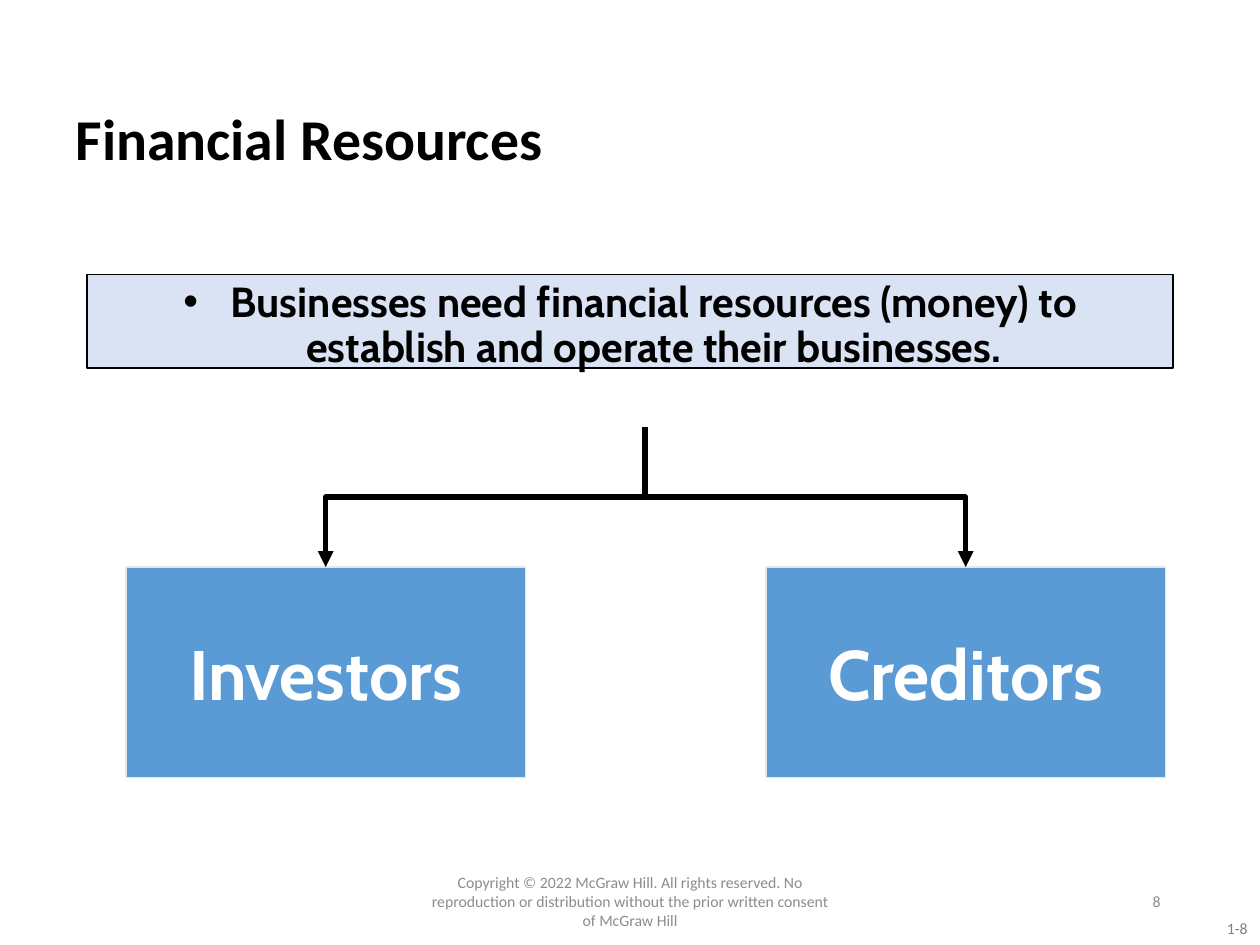
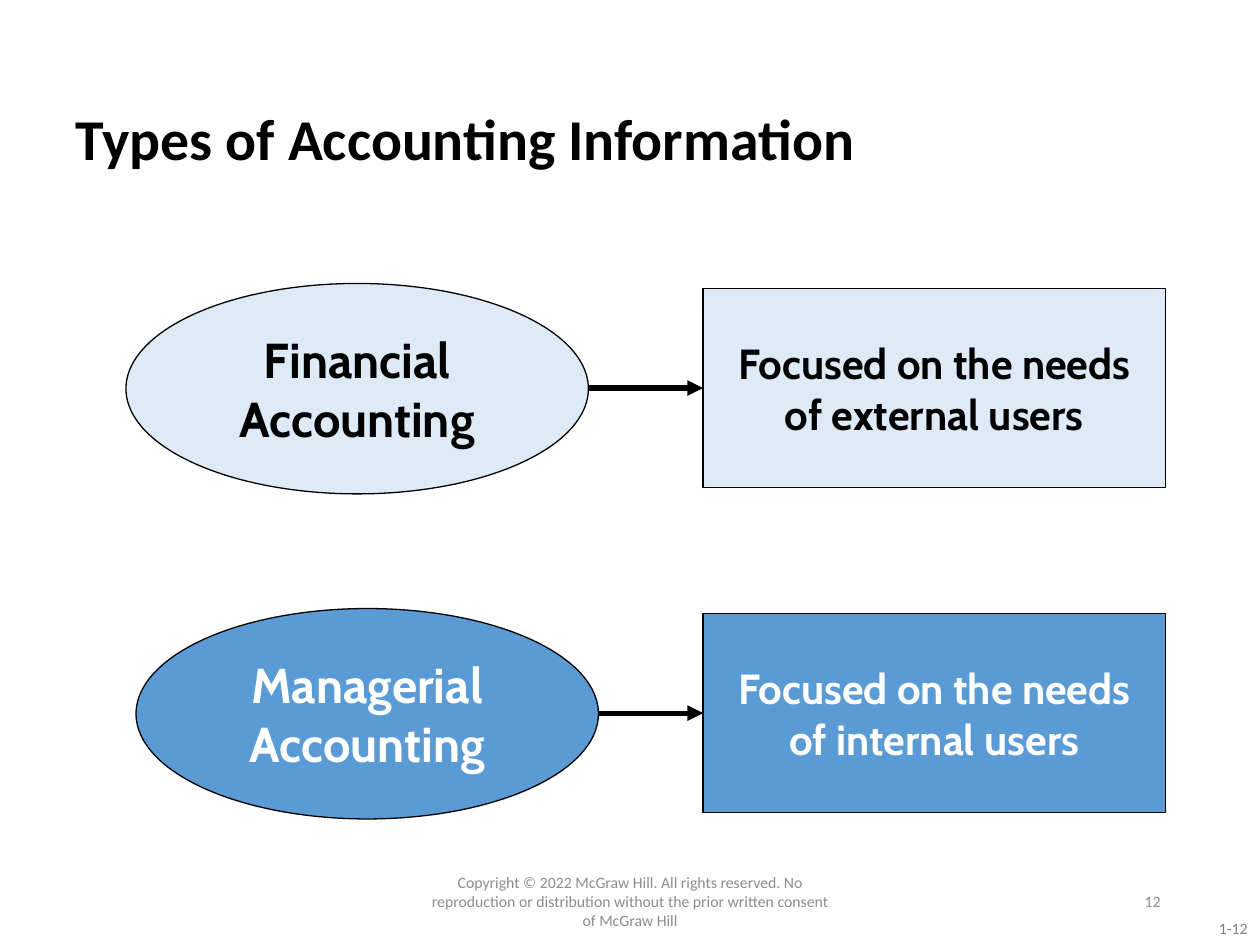
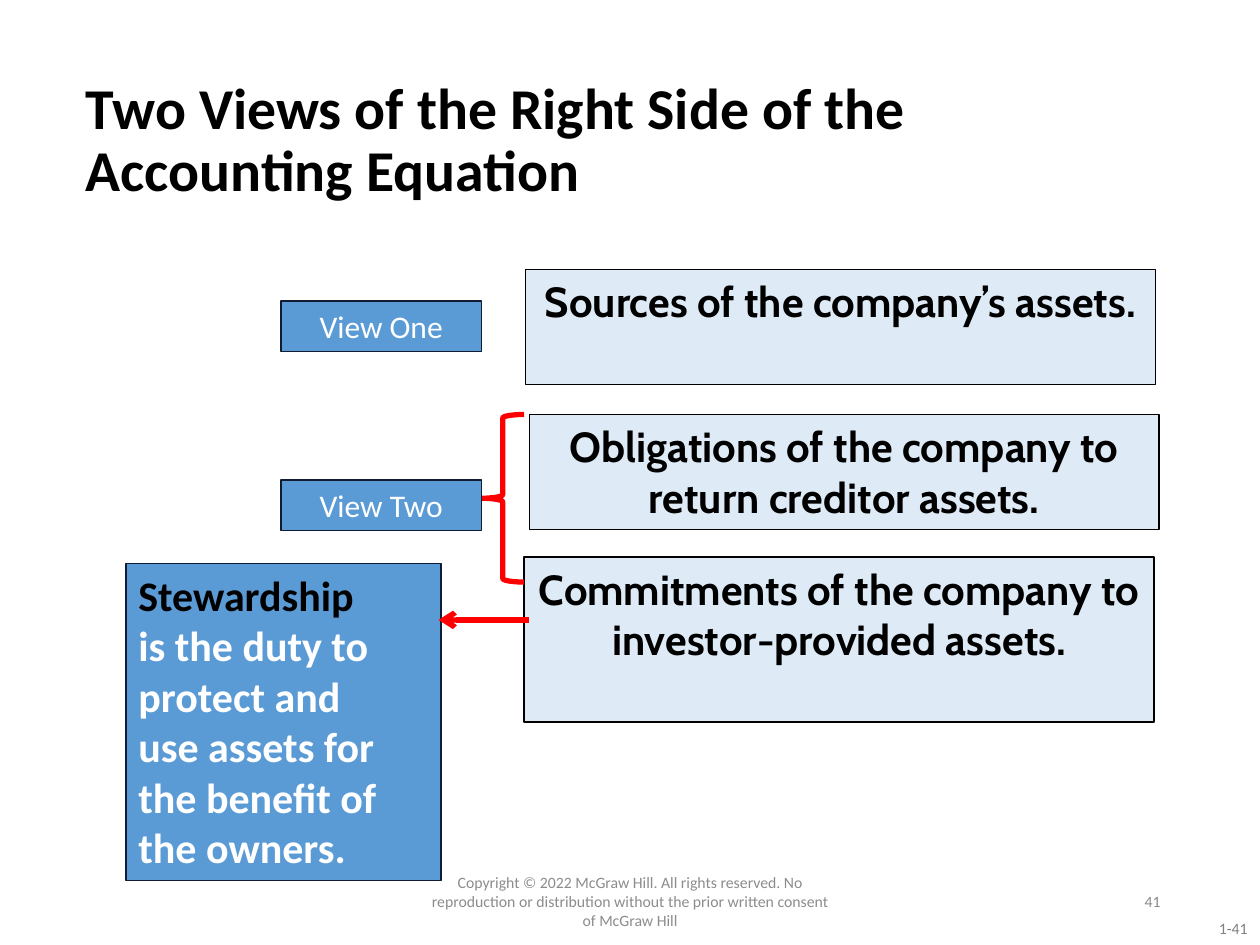
import pptx
import pptx.dml.color
import pptx.enum.shapes
import pptx.enum.text
import pptx.oxml.ns
import pptx.util
from lxml import etree

Inches = pptx.util.Inches
Pt = pptx.util.Pt
SHAPE = pptx.enum.shapes.MSO_SHAPE
CONNECTOR = pptx.enum.shapes.MSO_CONNECTOR
ANCHOR = pptx.enum.text.MSO_ANCHOR
ALIGN = pptx.enum.text.PP_ALIGN

# Shared look
BLACK, WHITE, RED = "000000", "FFFFFF", "FF0000"
BLUE, PALE_BLUE, LAVENDER = "5B9BD5", "DEEBF7", "DAE3F3"
NAVY, LIGHT_GRAY = "101C32", "E7E6E6"
FOOTER_GRAY, PAGE_GRAY = "8C8C8C", "808080"
HEADING_FONT, LABEL_FONT = "Calibri", "Cabin"
CHAPTER = 1
COPYRIGHT = ("Copyright © 2022 McGraw Hill. All rights reserved. No reproduction or "
             "distribution without the prior written consent of McGraw Hill")
TITLE_ONLY, TITLE_AND_BODY = 5, 1


def rgb(color):
    return pptx.dml.color.RGBColor.from_string(color)


def place(shape, left, top, width, height):
    shape.left, shape.top = Inches(left), Inches(top)
    shape.width, shape.height = Inches(width), Inches(height)


def paint(shape, fill, line, weight=0.75):
    if fill:
        shape.fill.solid()
        shape.fill.fore_color.rgb = rgb(fill)
    else:
        shape.fill.background()
    shape.line.color.rgb = rgb(line)
    shape.line.width = Pt(weight)


def write(shape, text, size, color, font=HEADING_FONT, bold=False,
          align=ALIGN.LEFT, anchor=ANCHOR.MIDDLE, spacing=None):
    frame = shape.text_frame
    frame.text = text
    frame.word_wrap = True
    frame.auto_size = pptx.enum.text.MSO_AUTO_SIZE.NONE
    frame.vertical_anchor = anchor
    for paragraph in frame.paragraphs:
        paragraph.alignment = align
        if spacing:
            paragraph.line_spacing = spacing
        for run in paragraph.runs:
            run.font.name = font
            run.font.size = Pt(size)
            run.font.bold = bold
            run.font.color.rgb = rgb(color)


def add_note(slide, at, text, color, align, anchor=ANCHOR.MIDDLE):
    note = slide.shapes.add_textbox(*map(Inches, at))
    write(note, text, 9, color, align=align, anchor=anchor)


def add_slide(deck, title, number, layout=TITLE_ONLY, title_left=0.5):
    """Start a slide with its title, copyright line and page numbers."""
    slide = deck.slides.add_slide(deck.slide_layouts[layout])
    heading = slide.shapes.title
    place(heading, title_left, 0.4, 9.31 - title_left, 1.45)
    write(heading, title, 33, BLACK, bold=True, spacing=0.9)
    add_note(slide, (3.31, 6.95, 3.38, 0.4), COPYRIGHT, FOOTER_GRAY, ALIGN.CENTER)
    add_note(slide, (7.06, 6.95, 2.25, 0.4), str(number), FOOTER_GRAY, ALIGN.RIGHT)
    add_note(slide, (8.79, 7.24, 1.21, 0.25), f"{CHAPTER}-{number}", PAGE_GRAY,
             ALIGN.RIGHT, ANCHOR.TOP)
    return slide


def add_figure(slide, preset, at, fill, line=BLACK, weight=0.75):
    figure = slide.shapes.add_shape(preset, *map(Inches, at))
    figure.shadow.inherit = False
    paint(figure, fill, line, weight)
    return figure


def add_label(slide, at, text, size, fill, color, preset=SHAPE.RECTANGLE,
              line=BLACK, anchor=ANCHOR.MIDDLE):
    """Add a filled shape with bold centred text."""
    label = add_figure(slide, preset, at, fill, line)
    write(label, text, size, color, LABEL_FONT, True, ALIGN.CENTER, anchor)


def add_arrow(slide, start, end, color=BLACK, head="triangle", kind=CONNECTOR.STRAIGHT):
    arrow = slide.shapes.add_connector(kind, *map(Inches, start + end))
    arrow.line.color.rgb = rgb(color)
    arrow.line.width = Pt(3)
    qn = pptx.oxml.ns.qn
    etree.SubElement(arrow.line._get_or_add_ln(), qn("a:tailEnd"), type=head)
    etree.SubElement(arrow._element.spPr, qn("a:effectLst"))
    return arrow


def add_branch(slide, start, end):
    """Add an elbow arrow that leaves and arrives vertically."""
    (x1, y1), (x2, y2) = start, end
    middle_x, middle_y = (x1 + x2) / 2, (y1 + y2) / 2
    half_drop, half_span = (y2 - y1) / 2, abs(x2 - x1) / 2
    side = 1 if x2 < x1 else -1
    branch = add_arrow(slide,
                       (middle_x - side * half_drop, middle_y - half_span),
                       (middle_x + side * half_drop, middle_y + half_span),
                       kind=CONNECTOR.ELBOW)
    quarter_turn = 90 * 60000
    branch._element.spPr.xfrm.set("rot", str(quarter_turn if side > 0 else 3 * quarter_turn))


def build_resources(deck):
    slide = add_slide(deck, "Financial Resources", 8, TITLE_AND_BODY)

    # Statement
    statement = slide.placeholders[1]
    place(statement, 0.69, 2.18, 8.62, 0.74)
    paint(statement, LAVENDER, BLACK)
    statement.text_frame.text = ""
    properties = statement.text_frame.paragraphs[0]._p.get_or_add_pPr()
    properties.set("marL", "0")
    properties.set("indent", "0")
    etree.SubElement(properties, pptx.oxml.ns.qn("a:buNone"))
    write(statement, "Businesses need financial resources (money) to establish "
          "and operate their businesses.", 24, BLACK, LABEL_FONT, True,
          ALIGN.CENTER, ANCHOR.TOP, 0.9)
    statement.text_frame.paragraphs[0].space_before = Pt(0)

    # Providers
    width, top = 3.17, 4.5
    for provider, left in (("Investors", 1), ("Creditors", 6.08)):
        add_label(slide, (left, top, width, 1.67), provider, 40, BLUE, WHITE,
                  line=LIGHT_GRAY)
        add_branch(slide, (5.12, 3.39), (left + width / 2, top))


def build_types(deck):
    slide = add_slide(deck, "Types of Accounting Information", 12)
    width, focus_left = 3.67, 5.58
    rows = (
        ("Financial", "external", 1, 2.25, PALE_BLUE, BLACK),
        ("Managerial", "internal", 1.08, 4.83, BLUE, WHITE),
    )
    for branch, users, left, top, fill, color in rows:
        middle = top + 0.83
        add_label(slide, (left, top, width, 1.67), f"{branch} Accounting", 28,
                  fill, color, SHAPE.OVAL)
        add_label(slide, (focus_left, top + 0.04, width, 1.58),
                  f"Focused on the needs of {users} users", 24, fill, color)
        add_arrow(slide, (left + width, middle), (focus_left, middle))


def build_views(deck):
    slide = add_slide(deck, "Two Views of the Right Side of the Accounting Equation",
                      41, title_left=0.58)

    # Meanings of the right side
    meanings = (
        ("Sources of the company’s assets.", 4.17, 2.14, 0.91),
        ("Obligations of the company to return creditor assets.", 4.2, 3.29, 0.91),
        ("Commitments of the company to investor-provided assets.", 4.16, 4.42, 1.31),
    )
    for meaning, left, top, height in meanings:
        add_label(slide, (left, top, 5, height), meaning, 24, PALE_BLUE, BLACK,
                  anchor=ANCHOR.TOP)

    # Stewardship definition
    stewardship = add_figure(slide, SHAPE.RECTANGLE, (1, 4.47, 2.5, 2.52), BLUE, NAVY)
    write(stewardship, "Stewardship\nis the duty to\nprotect and\n"
          "use assets for the benefit of the owners.", 24, WHITE, bold=True,
          anchor=ANCHOR.TOP)
    term = stewardship.text_frame.paragraphs[0].runs[0]
    term.font.color.rgb = rgb(BLACK)
    add_arrow(slide, (4.2, 4.92), (3.48, 4.92), RED, "arrow")

    # Views
    add_figure(slide, SHAPE.LEFT_BRACE, (3.82, 3.29, 0.34, 1.33), None, RED, 3)
    for view, top in (("View One", 2.39), ("View Two", 3.81)):
        tag = add_figure(slide, SHAPE.RECTANGLE, (2.23, top, 1.59, 0.4), BLUE, NAVY)
        write(tag, view, 18, WHITE, align=ALIGN.CENTER, anchor=ANCHOR.TOP)


def main():
    deck = pptx.Presentation()
    deck.slide_width, deck.slide_height = Inches(10), Inches(7.5)
    build_resources(deck)
    build_types(deck)
    build_views(deck)
    deck.save("out.pptx")


if __name__ == "__main__":
    main()
